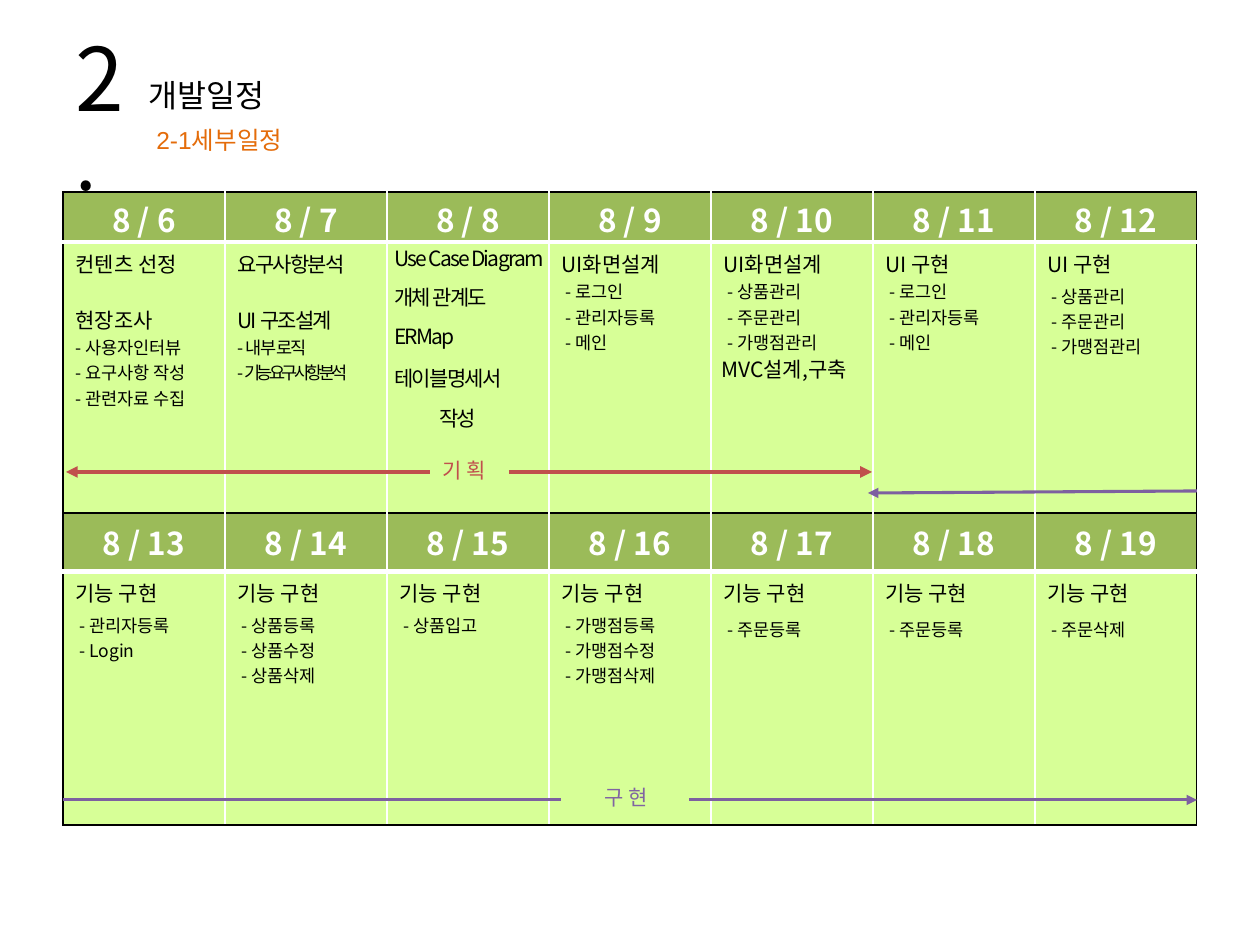
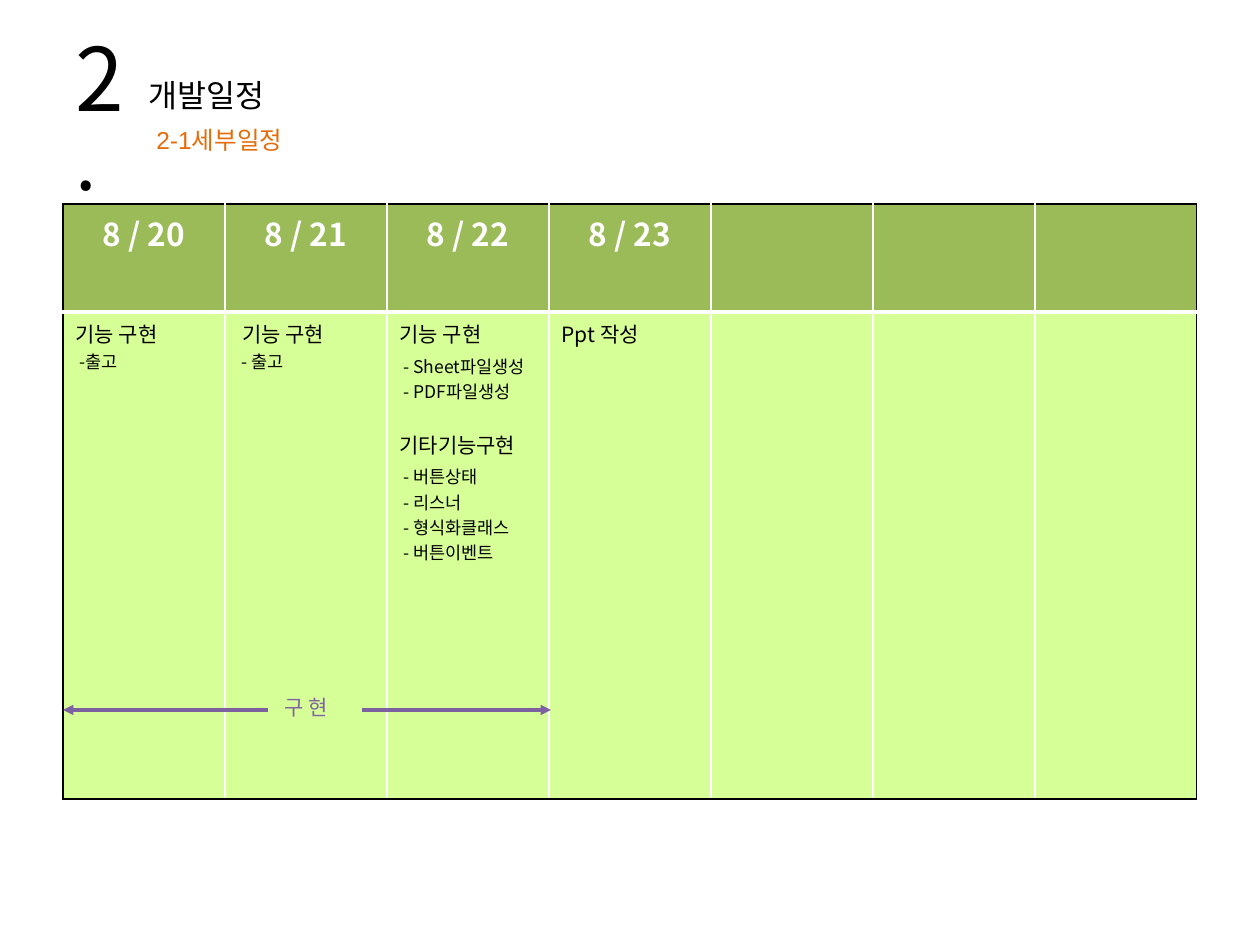
"""Build two slides of a day-by-day development schedule."""
import pptx
import pptx.util
import pptx.dml.color
import pptx.enum.shapes
import pptx.enum.text
import pptx.oxml.ns
import lxml.etree

PX = 7257
KR = "Noto Sans CJK KR"
BLACK, WHITE, ORANGE = "000000", "FFFFFF", "E46C0A"
HEAD, BODY = "9BBB59", "D7FF97"
RED, LILAC, PURPLE = "C0504D", "8064A2", "7D60A0"
LEFT, COL, DAYS = 63, 162, 7
qn = pptx.oxml.ns.qn
sub = lxml.etree.SubElement


def hue(code):
    return pptx.dml.color.RGBColor.from_string(code)


def write(para, text, size, color=BLACK, face=KR, bold=False, tight=0):
    run = para.add_run()
    run.text = text
    look = {"size": pptx.util.Pt(size), "name": face, "bold": bold}
    for key, val in look.items():
        setattr(run.font, key, val)
    run.font.color.rgb = hue(color)
    props = run._r.get_or_add_rPr()
    sub(props, qn("a:ea"), typeface=KR)
    if tight:
        props.set("spc", str(-100 * tight))


# each plan: top, head height, body height, then days as
# (date, gap before first item in points, letter tightness, lines)
plans = [
    [
        (192, 50, 271, [
            ("8 / 6", 0, 0, "컨텐츠 선정|현장조사|- 사용자인터뷰|- 요구사항 작성|- 관련자료 수집"),
            ("8 / 7", 0, 1, "요구사항분석|UI 구조설계|- 내부 로직|- 기능요구사항 분석"),
            ("8 / 8", 0, 0, ""),
            ("8 / 9", 0, 0, "UI화면설계| - 로그인| - 관리자등록| - 메인"),
            ("8 / 10", 0, 0, "UI화면설계| - 상품관리| - 주문관리| - 가맹점관리"),
            ("8 / 11", 0, 0, "UI 구현| - 로그인| - 관리자등록| - 메인"),
            ("8 / 12", 2.5, 0, "UI 구현| - 상품관리| - 주문관리| - 가맹점관리"),
        ]),
        (513, 58, 254, [
            ("8 / 13", 2.5, 0, "기능 구현| - 관리자등록| - Login"),
            ("8 / 14", 2.5, 0, "기능 구현| - 상품등록| - 상품수정| - 상품삭제"),
            ("8 / 15", 2.5, 0, "기능 구현| - 상품입고"),
            ("8 / 16", 2.5, 0, "기능 구현| - 가맹점등록| - 가맹점수정| - 가맹점삭제"),
            ("8 / 17", 5, 0, "기능 구현| - 주문등록"),
            ("8 / 18", 5, 0, "기능 구현| - 주문등록"),
            ("8 / 19", 5, 0, "기능 구현| - 주문삭제"),
        ]),
    ],
    [
        (204, 108, 487, [
            ("8 / 20", 0, 0, "기능 구현| -출고"),
            ("8 / 21", 0, 0, " 기능 구현| - 출고"),
            ("8 / 22", 2.5, 0, "기능 구현| - Sheet파일생성| - PDF파일생성|"
             "기타기능구현| - 버튼상태| - 리스너| - 형식화클래스| - 버튼이벤트"),
            ("8 / 23", 0, 0, "Ppt 작성"),
        ] + [("", 0, 0, "")] * 3),
    ],
]

# left, top, width, text, size, colour, tightness
heads = [
    (129, 70, 164, " 개발일정", 18, BLACK, 0),
    (144, 119, 267, "2-1세부일정", 14, ORANGE, 0),
]
notes = [
    [
        (382, 239, 208, "Use Case Diagram", 12, BLACK, 1),
        (382, 278, 208, "개체 관계도", 12, BLACK, 1),
        (382, 317, 208, "ERMap", 12, BLACK, 1),
        (382, 359, 208, "테이블명세서", 12, BLACK, 1),
        (427, 399, 93, "작성", 12, BLACK, 1),
        (709, 350, 208, "MVC설계,구축", 12, BLACK, 0),
        (430, 451, 79, "기 획", 12, RED, 0),
        (592, 778, 100, "구 현", 12, LILAC, 0),
    ],
    [(272, 688, 100, "구 현", 12, LILAC, 0)],
]

# start x, y, end x, y, colour, width, arrow, (label, side) to join
spans = [
    [
        (430, 472, 66, 472, RED, 2.25, True, ("기 획", 1)),
        (509, 472, 872, 472, RED, 2.25, True, ("기 획", 3)),
        (1197, 491, 868, 493, PURPLE, 1.75, True, None),
        (689, 800, 1197, 800, PURPLE, 1.75, True, None),
        (63, 800, 561, 800, PURPLE, 1.75, False, None),
    ],
    [
        (362, 710, 551, 710, PURPLE, 1.75, True, None),
        (268, 710, 63, 710, PURPLE, 1.75, True, None),
    ],
]

deck = pptx.Presentation()
deck.slide_width = pptx.util.Inches(10)
deck.slide_height = pptx.util.Inches(7.5)

for grids, tags, lines in zip(plans, notes, spans):
    slide = deck.slides.add_slide(deck.slide_layouts[5])
    title = slide.shapes.title
    place = {"left": 63, "top": 38, "width": 81, "height": 158}
    for key, val in place.items():
        setattr(title, key, val * PX)
    form = {
        "word_wrap": True,
        "auto_size": pptx.enum.text.MSO_AUTO_SIZE.NONE,
        "vertical_anchor": pptx.enum.text.MSO_ANCHOR.MIDDLE,
        "margin_top": 20 * PX,
    }
    for key, val in form.items():
        setattr(title.text_frame, key, val)
    para = title.text_frame.paragraphs[0]
    para.alignment = pptx.enum.text.PP_ALIGN.LEFT
    para.line_spacing = 0.83
    write(para, "2", 50)
    write(para, ".", 44)

    for top, high, low, days in grids:
        frame = slide.shapes.add_table(
            2, DAYS, LEFT * PX, top * PX, DAYS * COL * PX, (high + low) * PX)
        table = frame.table
        table.horz_banding = False
        table.rows[0].height = high * PX
        table.rows[1].height = low * PX
        for col, (date, gap, tight, text) in enumerate(days):
            table.columns[col].width = COL * PX
            for row, fill in enumerate((HEAD, BODY)):
                cell = table.cell(row, col)
                cell.fill.solid()
                cell.fill.fore_color.rgb = hue(fill)
                edges = {
                    "L": (WHITE if col else BLACK, 1),
                    "R": (WHITE if col < DAYS - 1 else BLACK, 1),
                    "T": (WHITE, 3) if row else (BLACK, 1),
                    "B": (BLACK, 1) if row else (WHITE, 3),
                }
                props = cell._tc.get_or_add_tcPr()
                for spot, (side, (color, width)) in enumerate(edges.items()):
                    edge = sub(props, qn("a:ln" + side), w=str(width * 12700))
                    paint = sub(edge, qn("a:solidFill"))
                    sub(paint, qn("a:srgbClr"), val=color)
                    props.insert(spot, edge)
            cell = table.cell(0, col)
            if high == 50:
                cell.margin_top, cell.margin_bottom = 4 * PX, 0
            if date:
                para = cell.text_frame.paragraphs[0]
                para.alignment = pptx.enum.text.PP_ALIGN.CENTER
                write(para, date, 18, WHITE, bold=True)
            words = table.cell(1, col).text_frame
            was = None
            for line in text.split("|") if text else []:
                item = line.strip().startswith("-")
                para = words.add_paragraph() if was is not None else words.paragraphs[0]
                if item and was is False:
                    para.space_before = pptx.util.Pt(gap)
                elif not item and was is not None:
                    para.space_before = pptx.util.Pt(14.5)
                squeeze = tight * 2 if "기능요구" in line else tight
                write(para, line, 10 if item else 12, tight=squeeze)
                was = item

    boxes = {}
    for left, top, width, text, size, color, tight in heads + tags:
        tall = 42 if size == 12 else 58
        box = slide.shapes.add_textbox(left * PX, top * PX, width * PX, tall * PX)
        box.text_frame.word_wrap = True
        face = "Arial" if color == ORANGE else KR
        write(box.text_frame.paragraphs[0], text, size, color, face, tight=tight)
        boxes[text] = box

    for x, y, to, end, color, width, arrow, join in lines:
        line = slide.shapes.add_connector(
            pptx.enum.shapes.MSO_CONNECTOR.STRAIGHT, x * PX, y * PX, to * PX, end * PX)
        line.line.color.rgb = hue(color)
        line.line.width = pptx.util.Pt(width)
        if arrow:
            sub(line.line._get_or_add_ln(), qn("a:tailEnd"), type="triangle")
        sub(line._element.spPr, qn("a:effectLst"))
        if join:
            line.begin_connect(boxes[join[0]], join[1])

deck.save("out.pptx")
